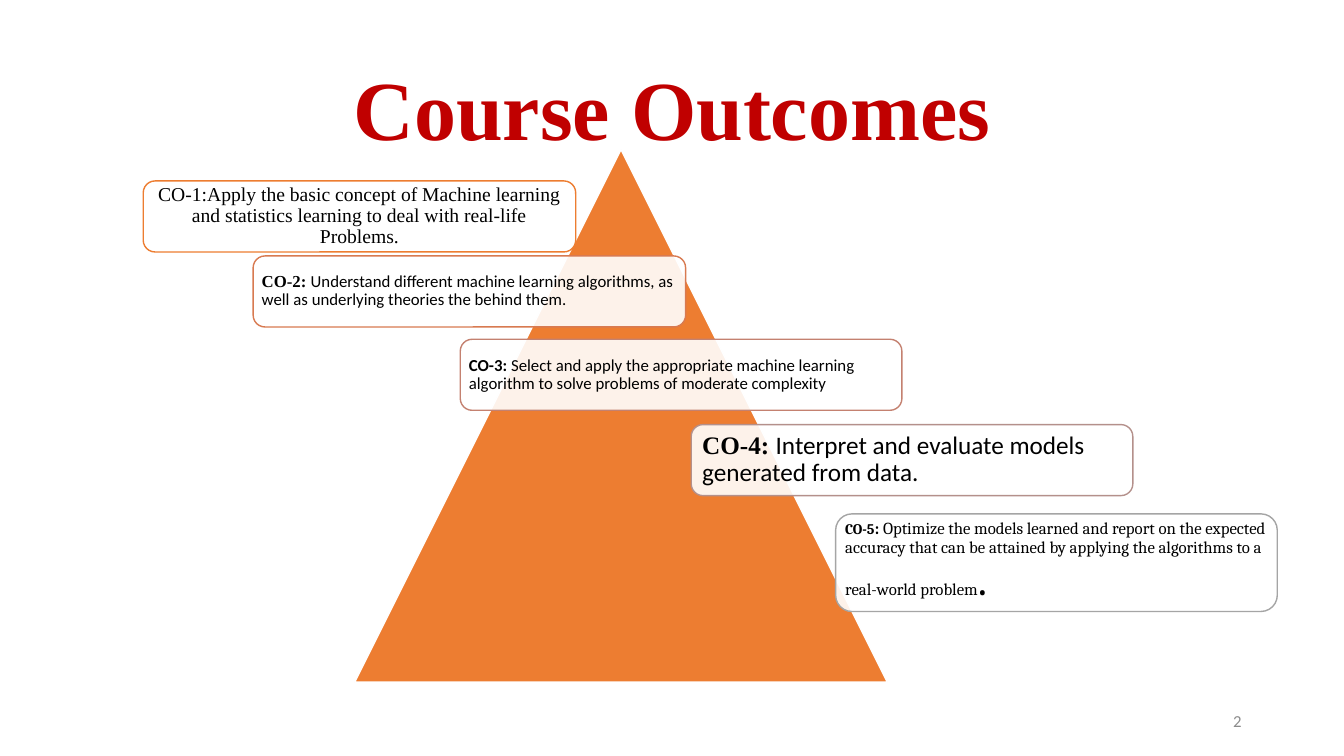
from pptx import Presentation
from pptx.dml.color import RGBColor
from pptx.enum.shapes import MSO_SHAPE
from pptx.enum.text import MSO_ANCHOR, PP_ALIGN
from pptx.oxml.ns import qn
from pptx.util import Cm, Pt
from lxml.etree import SubElement

WHITE = RGBColor(0xFF, 0xFF, 0xFF)
BLACK = RGBColor(0, 0, 0)
RED = RGBColor(0xC0, 0, 0)
GREY = RGBColor(0x8C, 0x8C, 0x8C)
ORANGE = RGBColor(0xED, 0x7D, 0x31)
RUST = RGBColor(0xD8, 0x7A, 0x51)
ROSE = RGBColor(0xC4, 0x81, 0x70)
TAUPE = RGBColor(0xB4, 0x90, 0x8B)
SILVER = RGBColor(0xA5, 0xA5, 0xA5)
TIMES, SANS, SERIF = "Times New Roman", "Calibri", "Cambria"
LEFT, MID, RIGHT = PP_ALIGN.LEFT, PP_ALIGN.CENTER, PP_ALIGN.RIGHT


def write(shape, runs, align, inset, color=BLACK, space=0.9):
    """Fill a shape with one paragraph of (text, font, size, bold) runs."""
    frame = shape.text_frame
    form = {"word_wrap": True, "vertical_anchor": MSO_ANCHOR.MIDDLE}
    for side in ("left", "right", "top", "bottom"):
        form["margin_" + side] = Cm(inset)
    for key, val in form.items():
        setattr(frame, key, val)
    para = frame.paragraphs[0]
    para.alignment, para.line_spacing = align, space
    for text, name, size, bold in runs:
        run = para.add_run()
        run.text = text
        look = {"name": name, "size": Pt(size), "bold": bold}
        for key, val in look.items():
            setattr(run.font, key, val)
        run.font.color.rgb = color


def draw(kind, box, fill, line):
    """Add a flat preset shape with a thin outline."""
    shape = slide.shapes.add_shape(kind, *map(Cm, box))
    shape.shadow.inherit = False
    shape.fill.solid()
    shape.fill.fore_color.rgb = fill
    shape.line.color.rgb = line
    shape.line.width = Pt(1)
    return shape


deck = Presentation()
deck.slide_width, deck.slide_height = Cm(33.87), Cm(19.05)
slide = deck.slides.add_slide(deck.slide_layouts[6])

title = slide.shapes.add_textbox(Cm(2.33), Cm(1.01), Cm(29.21), Cm(3.68))
write(title, [("Course Outcomes", TIMES, 60, True)], MID, 0.2, RED)
page = slide.shapes.add_textbox(Cm(23.92), Cm(17.66), Cm(7.62), Cm(1.01))
write(page, [("2", SANS, 12, False)], RIGHT, 0.25, GREY, 1.0)

draw(MSO_SHAPE.ISOSCELES_TRIANGLE, (8.94, 3.77, 13.42, 13.42), ORANGE, WHITE)

# Each outcome: box, outline, alignment, inset, runs
goals = [
    ((3.61, 4.56, 10.9, 1.79), ORANGE, MID, 0.15, [
        ("CO-1:Apply the basic concept of Machine learning and statistics "
         "learning to deal with real-life Problems.", TIMES, 14, False)]),
    ((6.38, 6.45, 10.9, 1.79), RUST, LEFT, 0.13, [
        ("CO-2: ", TIMES, 12, True),
        ("Understand different machine learning algorithms, as well as "
         "underlying theories the behind them.", SANS, 12, False)]),
    ((11.6, 8.55, 11.13, 1.79), ROSE, LEFT, 0.13, [
        ("CO-3: ", SANS, 12, True),
        ("Select and apply the appropriate machine learning algorithm to "
         "solve problems of moderate complexity", SANS, 12, False)]),
    ((17.42, 10.7, 11.13, 1.79), TAUPE, LEFT, 0.19, [
        ("CO-4: ", TIMES, 18, True),
        ("Interpret and evaluate models generated from data.",
         SANS, 18, False)]),
    ((21.06, 12.95, 11.13, 2.46), SILVER, LEFT, 0.12, [
        ("CO-5", SERIF, 10.5, True),
        (": ", SERIF, 12, True),
        ("Optimize the models learned and report on the expected accuracy "
         "that can be attained by applying the algorithms to a real-world "
         "problem", SERIF, 12, False),
        (".", SERIF, 32, False)]),
]
for box, line, align, inset, runs in goals:
    card = draw(MSO_SHAPE.ROUNDED_RECTANGLE, box, WHITE, line)
    tint = card.fill._xPr.find(qn("a:solidFill"))[0]
    SubElement(tint, qn("a:alpha"), val="90000")
    write(card, runs, align, inset)

deck.save("out.pptx")
